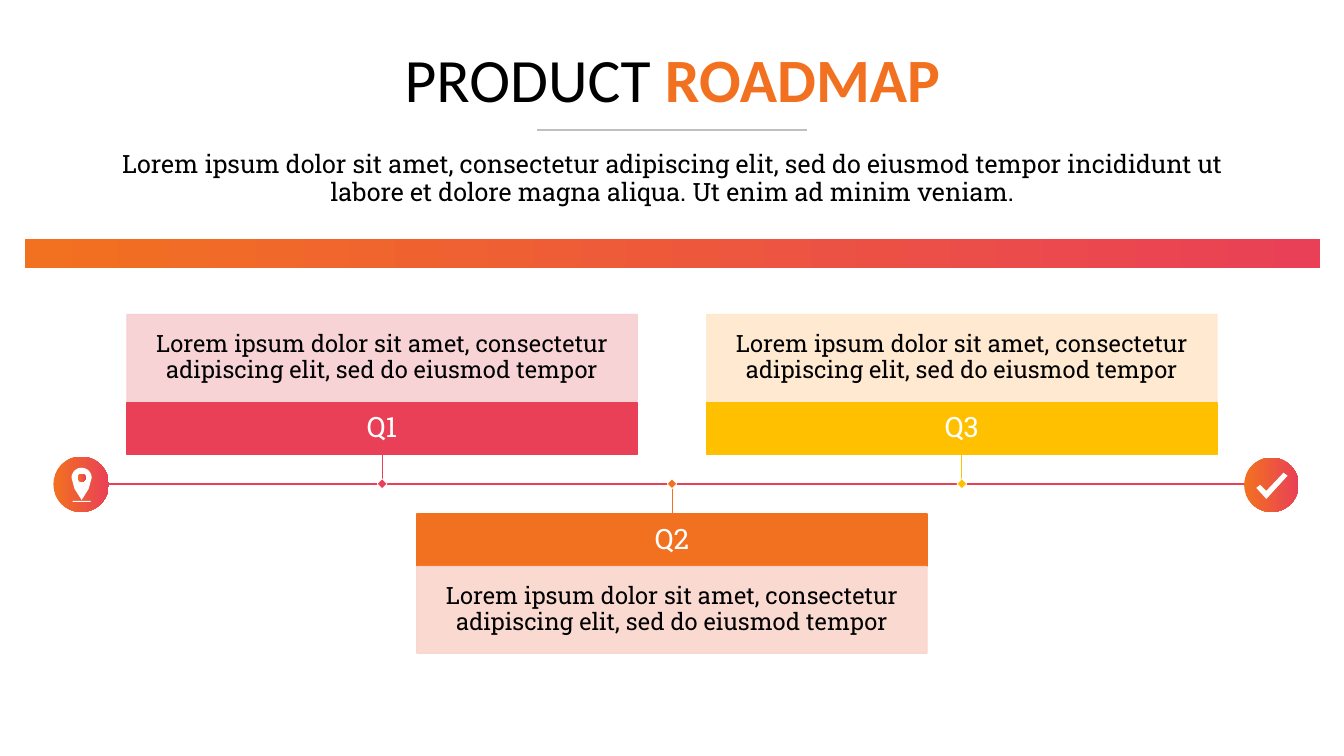
from dataclasses import dataclass
from math import cos, pi, sin

from lxml.etree import SubElement
from pptx import Presentation
from pptx.dml.color import RGBColor
from pptx.enum.shapes import MSO_CONNECTOR, MSO_SHAPE
from pptx.enum.text import MSO_ANCHOR, PP_ALIGN
from pptx.oxml.ns import qn
from pptx.util import Inches, Pt


@dataclass(frozen=True)
class Theme:
    head: str = "Calibri"
    text: str = "Roboto Slab"
    black: str = "000000"
    white: str = "FFFFFF"
    gray: str = "BFBFBF"
    orange: str = "F27120"
    red: str = "E94057"
    gold: str = "FFC000"
    blush: str = "F7CFD1"
    peach: str = "FAD5CD"
    cream: str = "FFE8CC"
    title: int = 44
    lead: int = 18
    label: int = 20
    note: int = 17


def apply(item, values):
    for name, value in values.items():
        setattr(item, name, value)


class Deck:
    def __init__(self, slide, theme):
        self.slide = slide
        self.theme = theme

    def paint(self, fill, color):
        fill.solid()
        fill.fore_color.rgb = RGBColor.from_string(color)

    def blend(self, fill):
        fill.gradient()
        fill.gradient_angle = 0
        ends = (self.theme.orange, self.theme.red)
        for place, (stop, color) in enumerate(zip(fill.gradient_stops, ends)):
            stop.position = place
            stop.color.rgb = RGBColor.from_string(color)

    def finish(self, shape, color=None, line=None, width=1, alpha=None):
        shape.shadow.inherit = False
        if color:
            self.paint(shape.fill, color)
        else:
            self.blend(shape.fill)
        if line:
            self.paint(shape.line.fill, line)
            shape.line.width = Pt(width)
        else:
            shape.line.fill.background()
        if alpha:
            for node in shape._element.spPr.iter(qn("a:srgbClr")):
                SubElement(node, qn("a:alpha"), val=str(alpha * 1000))
        return shape

    def shape(self, kind, box, *style, **more):
        shape = self.slide.shapes.add_shape(kind, *map(Inches, box))
        return self.finish(shape, *style, **more)

    def outline(self, points, color):
        spots = [(Inches(x), Inches(y)) for x, y in points]
        build = self.slide.shapes.build_freeform(*spots[0])
        build.add_line_segments(spots[1:], close=True)
        return self.finish(build.convert_to_shape(), color)

    def line(self, start, end, color, width):
        line = self.slide.shapes.add_connector(
            MSO_CONNECTOR.STRAIGHT, *map(Inches, start + end))
        self.paint(line.line.fill, color)
        line.line.width = Pt(width)
        SubElement(line._element.spPr, qn("a:effectLst"))

    def label(self, shape, runs, face, size, inset=None, before=0):
        frame = shape.text_frame
        apply(frame, {"word_wrap": True, "vertical_anchor": MSO_ANCHOR.MIDDLE})
        if inset:
            sides = ("left", "top", "right", "bottom")
            apply(frame, {f"margin_{side}": Inches(inset) for side in sides})
        para = frame.paragraphs[0]
        apply(para, {"alignment": PP_ALIGN.CENTER, "line_spacing": 0.9,
                     "space_before": Pt(before)})
        for words, color, bold in runs:
            run = para.add_run()
            run.text = words
            apply(run.font, {"name": face, "size": Pt(size), "bold": bold})
            self.paint(run.font.fill, color)

    def holder(self, shape, box, *style, **more):
        names = ("left", "top", "width", "height")
        apply(shape, dict(zip(names, map(Inches, box))))
        self.label(shape, *style, **more)

    def card(self, left, tops, name, note, color, tint):
        theme = self.theme
        head, body = tops
        bar = self.shape(MSO_SHAPE.RECTANGLE, (left, head, 5.06, 0.52),
                         color, color)
        self.label(bar, [(name, theme.white, False)], theme.text,
                   theme.label, 0.11)
        panel = self.shape(MSO_SHAPE.RECTANGLE, (left, body, 5.06, 0.86),
                           tint, tint, alpha=90)
        self.label(panel, [(note, theme.black, False)], theme.text,
                   theme.note, 0.18)


def main():
    show = Presentation()
    apply(show, {"slide_width": Inches(13.33), "slide_height": Inches(7.5)})
    slide = show.slides.add_slide(show.slide_layouts[2])
    theme = Theme()
    deck = Deck(slide, theme)

    # Heading
    deck.line((5.33, 1.29), (8, 1.29), theme.gray, 2)
    deck.shape(MSO_SHAPE.RECTANGLE, (0.25, 2.37, 12.84, 0.29))
    deck.holder(slide.shapes.title, (0.92, 0.4, 11.5, 0.83),
                [("PRODUCT ", theme.black, False),
                 ("ROADMAP", theme.orange, True)], theme.head, theme.title)
    lead = ("Lorem ipsum dolor sit amet, consectetur adipiscing elit, sed do "
            "eiusmod tempor incididunt ut labore et dolore magna aliqua. "
            "Ut enim ad minim veniam.")
    deck.holder(slide.placeholders[1], (0.92, 1.32, 11.5, 0.92),
                [(lead, theme.black, False)], theme.text, theme.lead,
                before=10)

    # Timeline with cards above and below
    axis = 4.8
    deck.line((0.92, axis), (12.42, axis), theme.red, 1)
    note = ("Lorem ipsum dolor sit amet, consectetur adipiscing elit, "
            "sed do eiusmod tempor")
    above, below = (3.99, 3.12), (5.1, 5.62)
    steps = [("Q1", theme.red, theme.blush, above, 4.5),
             ("Q2", theme.orange, theme.peach, below, 5.1),
             ("Q3", theme.gold, theme.cream, above, 4.5)]
    for i, (name, color, tint, tops, edge) in enumerate(steps):
        left = 1.26 + 5.75 / 2 * i
        mid = left + 2.53
        deck.card(left, tops, name, note, color, tint)
        deck.line((mid, edge), (mid, axis), color, 0.5)
        mark = deck.shape(MSO_SHAPE.RECTANGLE,
                          (mid - 0.07 / 2, axis - 0.07 / 2, 0.07, 0.07),
                          color, theme.white, 0.5)
        mark.rotation = 45

    # Finish badge with check mark
    deck.shape(MSO_SHAPE.OVAL, (12.34, 4.54, 0.54, 0.54))
    deck.outline([(12.73, 4.69), (12.77, 4.72), (12.56, 4.95),
                  (12.46, 4.84), (12.5, 4.81), (12.56, 4.87)], theme.white)

    # Start badge with map pin
    deck.shape(MSO_SHAPE.OVAL, (0.53, 4.53, 0.55, 0.55))
    turns = [pi + pi * i / 16 for i in range(17)]
    crown = [(0.81 + 0.1 * cos(t), 4.74 + 0.1 * sin(t)) for t in turns]
    deck.outline(crown + [(0.88, 4.85), (0.81, 4.96), (0.74, 4.85)],
                 theme.white)
    deck.shape(MSO_SHAPE.OVAL, (0.77, 4.7, 0.08, 0.08))
    deck.shape(MSO_SHAPE.RECTANGLE, (0.72, 4.97, 0.18, 0.01), theme.white)

    show.save("out.pptx")


if __name__ == "__main__":
    main()
